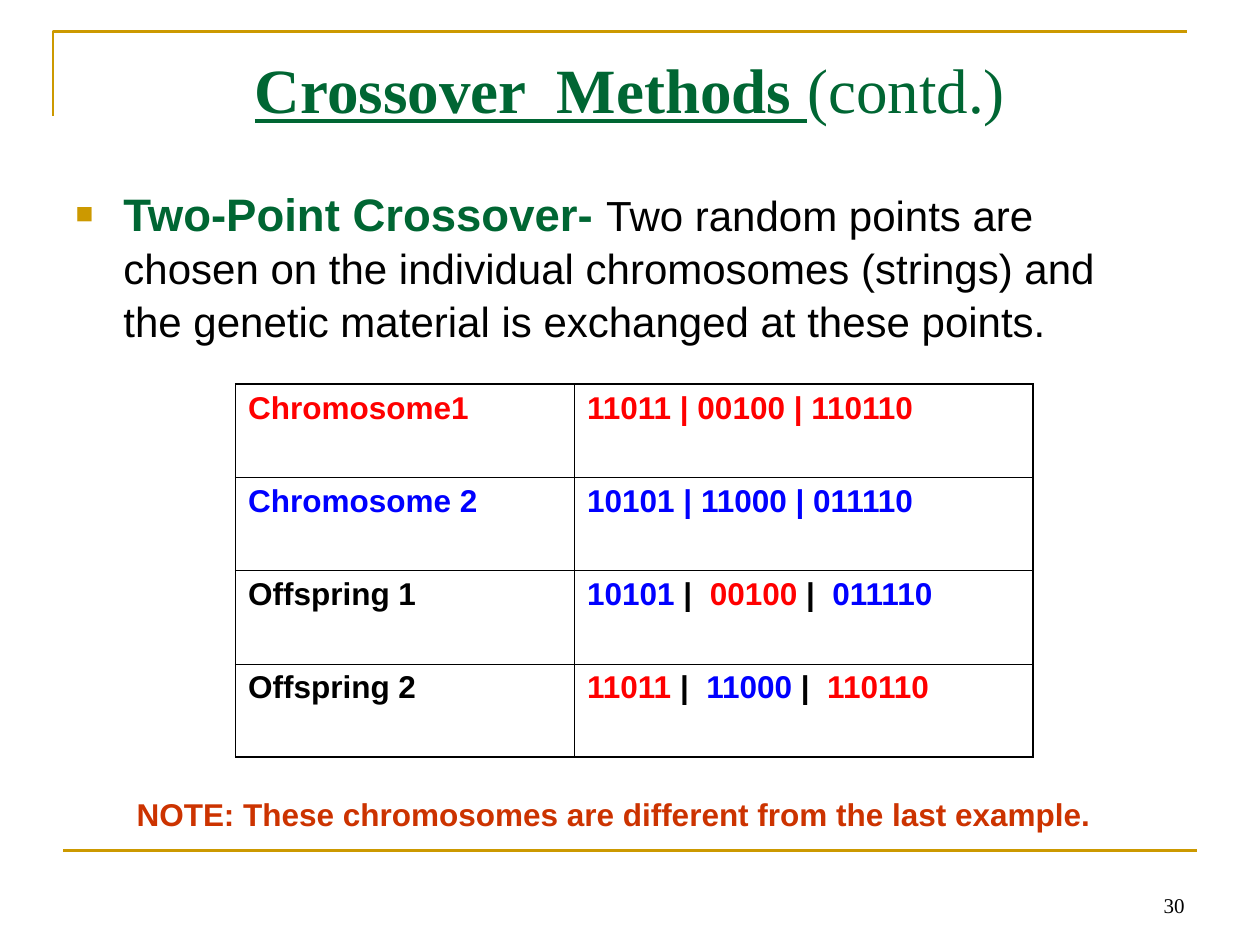
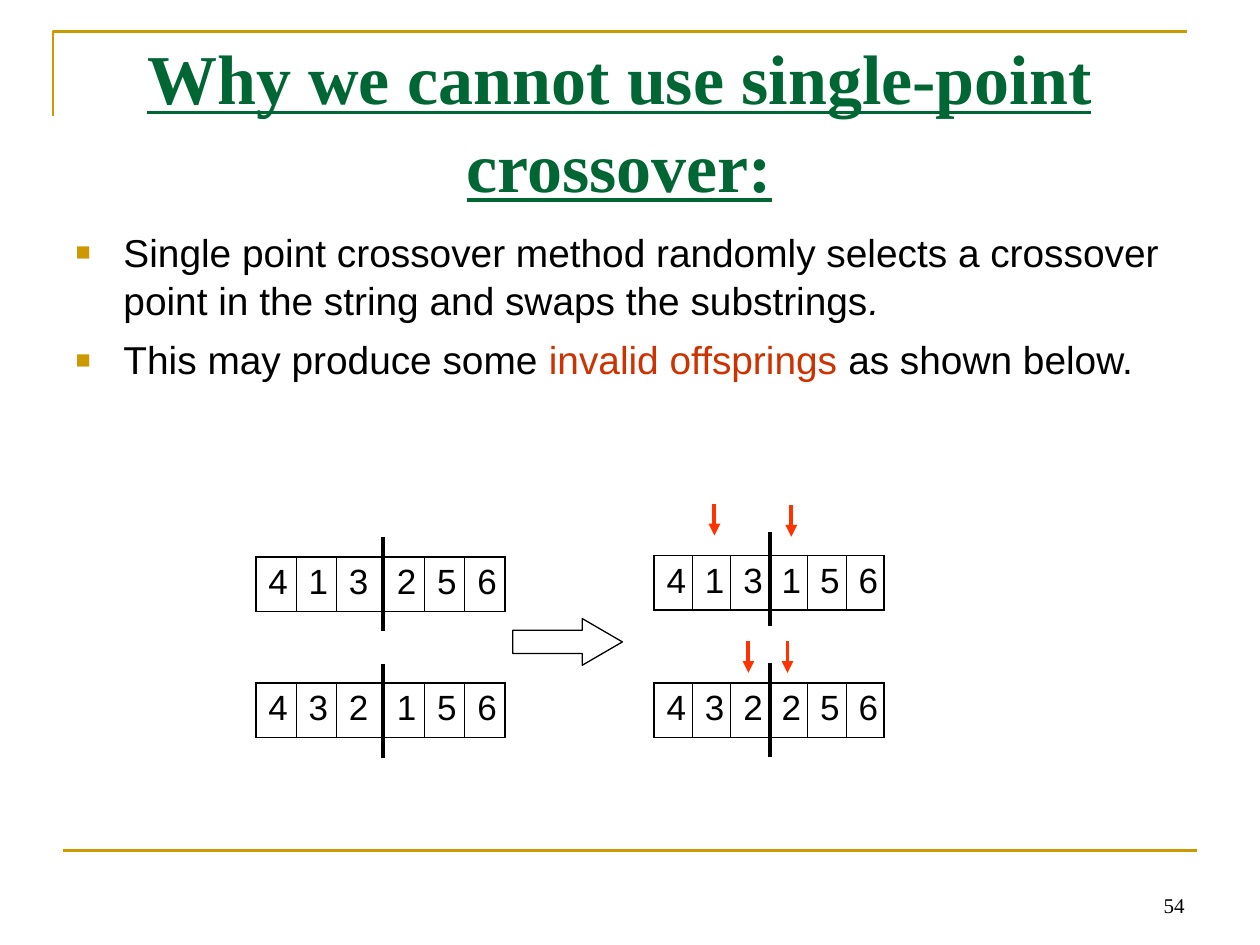
from dataclasses import dataclass

import pptx
import pptx.dml.color
import pptx.enum.shapes
import pptx.enum.text
import pptx.oxml.ns
import pptx.util
from lxml import etree

Inches = pptx.util.Inches
Pt = pptx.util.Pt
qn = pptx.oxml.ns.qn
ALIGN = pptx.enum.text.PP_ALIGN
ANCHOR = pptx.enum.text.MSO_ANCHOR
SHAPE = pptx.enum.shapes.MSO_SHAPE


@dataclass(frozen=True)
class Theme:
    serif: str = "Times New Roman"
    sans: str = "Arial"
    gold: str = "CC9900"
    green: str = "006633"
    rust: str = "CC3300"
    arrow: str = "FF3300"
    red: str = "FF0000"
    blue: str = "0000FF"
    black: str = "000000"
    white: str = "FFFFFF"
    title: float = 36
    big_title: float = 40
    term: float = 26
    body: float = 24
    compact: float = 22.2
    gene: float = 20
    label: float = 18
    number: float = 12
    leading: float = 1.04
    thin: float = 0.45
    thick: float = 1.08


T = Theme()


def rgb(color):
    return pptx.dml.color.RGBColor.from_string(color)


def add_run(p, text, size=T.body, font=T.sans, color=T.black, bold=False, italic=False, underline=False):
    r = p.add_run()
    r.text = text
    f = r.font
    f.size, f.name, f.bold, f.italic, f.underline = Pt(size), font, bold, italic, underline
    f.color.rgb = rgb(color)


def place(sp, left, top, width, height):
    sp.left, sp.top, sp.width, sp.height = map(Inches, (left, top, width, height))


def style_line(sp, color, width):
    sp.line.color.rgb = rgb(color)
    sp.line.width = Pt(width)


def add_line(s, x1, y1, x2, y2, color=T.black, width=2.25, arrow=False):
    line = s.shapes.add_connector(
        pptx.enum.shapes.MSO_CONNECTOR.STRAIGHT, *map(Inches, (x1, y1, x2, y2)))
    style_line(line, color, width)
    if arrow:
        etree.SubElement(line.line._get_or_add_ln(), qn("a:tailEnd"), type="triangle")
    etree.SubElement(line._element.spPr, qn("a:effectLst"))


def add_text(s, box, text, align=ALIGN.LEFT, anchor=ANCHOR.TOP, **fmt):
    tf = s.shapes.add_textbox(*map(Inches, box)).text_frame
    tf.word_wrap = True
    tf.vertical_anchor = anchor
    p = tf.paragraphs[0]
    p.alignment = align
    add_run(p, text, **fmt)


def add_frame(s, number):
    builder = s.shapes.build_freeform(Inches(0.42), Inches(0.92))
    builder.add_line_segments(
        [(Inches(0.42), Inches(0.25)), (Inches(9.42), Inches(0.25))], close=False)
    corner = builder.convert_to_shape()
    corner.fill.background()
    corner.shadow.inherit = False
    style_line(corner, T.gold, 1.5)
    add_line(s, 0.5, 6.75, 9.5, 6.75, T.gold, 1.5)
    add_text(s, (7.17, 6.83, 2.33, 0.5), number, ALIGN.RIGHT, ANCHOR.BOTTOM,
             size=T.number, font=T.serif)


def set_title(s, box, runs, size):
    sp = s.shapes.title
    place(sp, *box)
    tf = sp.text_frame
    tf.auto_size = pptx.enum.text.MSO_AUTO_SIZE.NONE
    tf.vertical_anchor = ANCHOR.TOP
    tf.margin_top = Inches(0.08)
    p = tf.paragraphs[0]
    p.alignment = ALIGN.CENTER
    p.line_spacing = T.leading
    for text, strong in runs:
        add_run(p, text, size=size, font=T.serif, color=T.green, bold=strong, underline=strong)


def add_bullet(p):
    pPr = p._p.get_or_add_pPr()
    pPr.set("marL", str(Inches(0.38)))
    pPr.set("indent", str(-Inches(0.38)))
    color = etree.SubElement(pPr, qn("a:buClr"))
    etree.SubElement(color, qn("a:srgbClr"), val=T.gold)
    etree.SubElement(pPr, qn("a:buSzPct"), val="65000")
    etree.SubElement(pPr, qn("a:buFont"), typeface=T.sans)
    etree.SubElement(pPr, qn("a:buChar"), char="■")


def set_body(s, box, items):
    sp = s.placeholders[1]
    place(sp, *box)
    tf = sp.text_frame
    tf.auto_size = pptx.enum.text.MSO_AUTO_SIZE.NONE
    for i, runs in enumerate(items):
        p = tf.add_paragraph() if i else tf.paragraphs[0]
        add_bullet(p)
        p.space_before = Pt(6 if i else 0)
        p.line_spacing = T.leading
        for text, fmt in runs:
            add_run(p, text, **fmt)


def set_borders(cell, outer_sides):
    tcPr = cell._tc.get_or_add_tcPr()
    for side in "LRTB":
        width = T.thick if side in outer_sides else T.thin
        ln = etree.SubElement(tcPr, qn("a:ln" + side), w=str(Pt(width)))
        fill = etree.SubElement(ln, qn("a:solidFill"))
        etree.SubElement(fill, qn("a:srgbClr"), val=T.black)


def add_grid(s, left, top, widths, row_height, rows, **fmt):
    frame = s.shapes.add_table(len(rows), len(widths), *map(
        Inches, (left, top, sum(widths), row_height * len(rows))))
    table = frame.table
    table.first_row = table.horz_banding = False
    for column, width in zip(table.columns, widths):
        column.width = Inches(width)
    for i, row in enumerate(rows):
        table.rows[i].height = Inches(row_height)
        for j, runs in enumerate(row):
            cell = table.cell(i, j)
            edges = {"L": j == 0, "R": j == len(widths) - 1, "T": i == 0, "B": i == len(rows) - 1}
            set_borders(cell, [side for side, outer in edges.items() if outer])
            cell.fill.background()
            for text, color in runs:
                add_run(cell.text_frame.paragraphs[0], text, color=color, **fmt)


def add_genes(s, left, top, widths, genes):
    add_grid(s, left, top, widths, 0.43, [[[(gene, T.black)] for gene in genes]], size=T.gene)


def new_slide(prs, number):
    s = prs.slides.add_slide(prs.slide_layouts[1])
    add_frame(s, number)
    return s


def two_point_slide(prs):
    s = new_slide(prs, "30")
    set_title(s, (0.5, 0.3, 9, 1.25),
              [("Crossover  Methods ", True), ("(contd.)", False)], T.title)
    set_body(s, (0.5, 1.41, 8.75, 1.43), [[
        ("Two-Point Crossover- ", dict(size=T.term, color=T.green, bold=True)),
        ("Two random points are chosen on the individual chromosomes (strings) and "
         "the genetic material is exchanged at these points.", {}),
    ]])
    rows = [
        [[("Chromosome1", T.red)], [("11011 | 00100 | 110110", T.red)]],
        [[("Chromosome 2", T.blue)], [("10101 | 11000 | 011110", T.blue)]],
        [[("Offspring 1", T.black)],
         [("10101 ", T.blue), ("| ", T.black), (" 00100 ", T.red), ("|", T.black), ("  011110", T.blue)]],
        [[("Offspring 2", T.black)],
         [("11011 ", T.red), ("|  ", T.black), ("11000 ", T.blue), ("|", T.black), ("  110110", T.red)]],
    ]
    add_grid(s, 1.87, 3.05, [2.69, 3.64], 0.74, rows, size=T.label, bold=True)
    add_text(s, (0.83, 6.26, 8.08, 0.4),
             "NOTE: These chromosomes are different from the last example.",
             ALIGN.CENTER, size=T.label, color=T.rust, bold=True)


def single_point_slide(prs):
    s = new_slide(prs, "54")
    set_title(s, (0.5, 0.17, 8.83, 1.36),
              [("Why we cannot use single-point crossover:", True)], T.big_title)
    plain = dict(size=T.compact)
    set_body(s, (0.5, 1.75, 8.83, 1.67), [
        [("Single point crossover method randomly selects a crossover point in the "
          "string and swaps the substrings", plain), (".", dict(plain, italic=True))],
        [("This may produce some ", plain), ("invalid offsprings", dict(plain, color=T.rust)),
         (" as shown below.", plain)],
    ])
    parent_widths = [0.32, 0.32, 0.38, 0.32, 0.32, 0.32]
    child_widths = [0.305] * 6
    add_genes(s, 2.03, 4.42, parent_widths, "413256")
    add_genes(s, 2.03, 5.42, parent_widths, "432156")
    add_genes(s, 5.19, 4.41, child_widths, "413156")
    add_genes(s, 5.19, 5.42, child_widths, "432256")

    becomes = s.shapes.add_shape(SHAPE.RIGHT_ARROW, *map(Inches, (4.07, 4.91, 0.87, 0.37)))
    becomes.adjustments[1] = 0.86
    becomes.shadow.inherit = False
    becomes.fill.solid()
    becomes.fill.fore_color.rgb = rgb(T.white)
    style_line(becomes, T.black, 0.75)

    for x, y in [(5.67, 4), (6.28, 4.01), (6.25, 5.09), (5.94, 5.09)]:
        add_line(s, x, y, x, y + 0.25, T.arrow, arrow=True)
    for x, y in [(3.04, 4.26), (3.04, 5.27), (6.11, 4.22), (6.11, 5.26)]:
        add_line(s, x, y, x, y + 0.75)


def main():
    prs = pptx.Presentation()
    prs.slide_width, prs.slide_height = Inches(10), Inches(7.5)
    two_point_slide(prs)
    single_point_slide(prs)
    prs.save("out.pptx")


if __name__ == "__main__":
    main()
